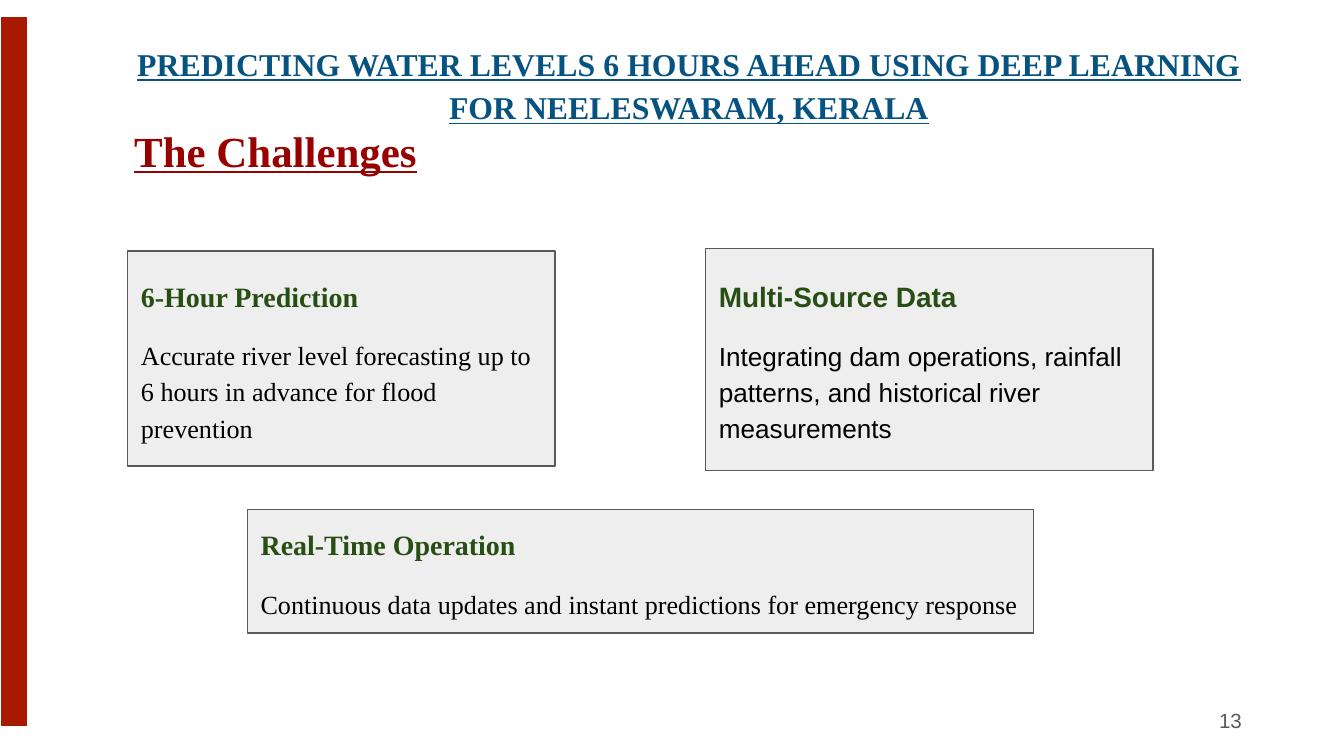
from dataclasses import dataclass

from pptx import Presentation
from pptx.dml.color import RGBColor as RGB
from pptx.enum.shapes import MSO_SHAPE as Shape
from pptx.enum.text import MSO_ANCHOR as Anchor, PP_ALIGN as Align
from pptx.util import Pt


@dataclass(frozen=True)
class Theme:
    serif: str = "Times New Roman"
    sans: str = "Arial"
    bar: RGB = RGB(0xA7, 0x19, 0x01)
    white: RGB = RGB(0xFF, 0xFF, 0xFF)
    title: RGB = RGB(0x06, 0x53, 0x81)
    section: RGB = RGB(0x99, 0x00, 0x00)
    heading: RGB = RGB(0x27, 0x4E, 0x13)
    body: RGB = RGB(0x00, 0x00, 0x00)
    grey: RGB = RGB(0x59, 0x59, 0x59)
    card: RGB = RGB(0xEE, 0xEE, 0xEE)
    title_size: int = 17
    section_size: int = 23
    heading_size: int = 15
    body_size: int = 14
    number_size: int = 11


T = Theme()


def add_box(s, box, fill, line):
    sp = s.shapes.add_shape(Shape.RECTANGLE, *map(Pt, box))
    sp.shadow.inherit = False
    sp.fill.solid()
    sp.fill.fore_color.rgb = fill
    sp.line.color.rgb = line
    sp.line.width = Pt(0.75)
    return sp


def set_frame(sp, anchor, inset_x, inset_y):
    tf = sp.text_frame
    tf.word_wrap = True
    tf.vertical_anchor = anchor
    tf.margin_left = tf.margin_right = Pt(inset_x)
    tf.margin_top = tf.margin_bottom = Pt(inset_y)
    return tf


def write(p, text, size, color, name, bold=False, underline=False,
          align=Align.LEFT, spacing=1.15, before=0, after=0):
    p.text = text
    p.alignment = align
    p.line_spacing = spacing
    p.space_before, p.space_after = Pt(before), Pt(after)
    f = p.font
    f.size, f.name, f.bold, f.underline = Pt(size), name, bold, underline
    f.color.rgb = color


def add_title(s, box, text):
    tf = set_frame(s.shapes.add_textbox(*map(Pt, box)), Anchor.TOP, 5, 5)
    write(tf.paragraphs[0], text, T.title_size, T.title, T.serif,
          bold=True, underline=True, align=Align.CENTER, after=12)


def add_section(s, box, text):
    tf = set_frame(s.shapes.add_textbox(*map(Pt, box)), Anchor.TOP, 7.2, 7.2)
    write(tf.paragraphs[0], text, T.section_size, T.section, T.serif,
          bold=True, underline=True, after=6)


def add_card(s, box, heading, body, font):
    tf = set_frame(add_box(s, box, T.card, T.grey), Anchor.MIDDLE, 7.2, 7.2)
    write(tf.paragraphs[0], heading, T.heading_size, T.heading, font, bold=True)
    write(tf.add_paragraph(), body, T.body_size, T.body, font,
          before=12, after=12)


def add_page_number(s, box, number):
    tf = set_frame(s.shapes.add_textbox(*map(Pt, box)), Anchor.MIDDLE, 5, 2.9)
    write(tf.paragraphs[0], number, T.number_size, T.grey, T.sans,
          align=Align.RIGHT, spacing=1.0)


CARDS = [
    ((68.4, 134.6, 229, 115.2), "6-Hour Prediction",
     "Accurate river level forecasting up to 6 hours in advance "
     "for flood prevention", T.serif),
    ((378, 133.2, 239.8, 118.8), "Multi-Source Data",
     "Integrating dam operations, rainfall patterns, and historical "
     "river measurements", T.sans),
    ((132.5, 272.9, 421.2, 66.2), "Real-Time Operation",
     "Continuous data updates and instant predictions for "
     "emergency response", T.serif),
]


def main():
    prs = Presentation()
    prs.slide_width, prs.slide_height = Pt(720), Pt(405)
    s = prs.slides.add_slide(prs.slide_layouts[6])
    add_page_number(s, (508.3, 375.1, 162, 21.6), "13")
    add_box(s, (0, 8.6, 15.1, 380.9), T.bar, T.white)
    add_title(s, (56.2, 15.8, 625.7, 82.8),
              "PREDICTING WATER LEVELS 6 HOURS AHEAD USING DEEP LEARNING "
              "FOR NEELESWARAM, KERALA")
    add_section(s, (64.8, 55.4, 236.2, 77), "The Challenges")
    for card in CARDS:
        add_card(s, *card)
    prs.save("out.pptx")


if __name__ == "__main__":
    main()
